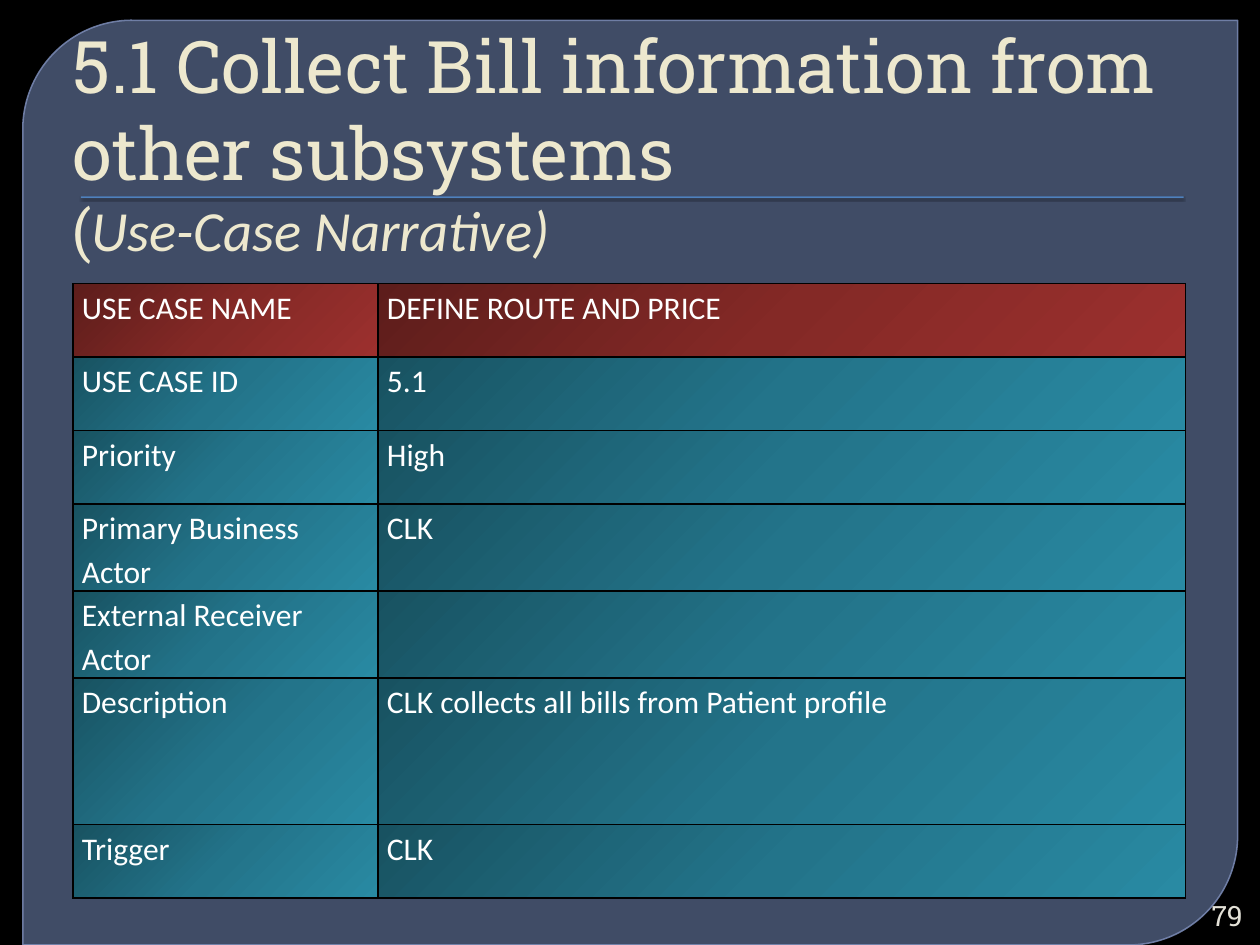
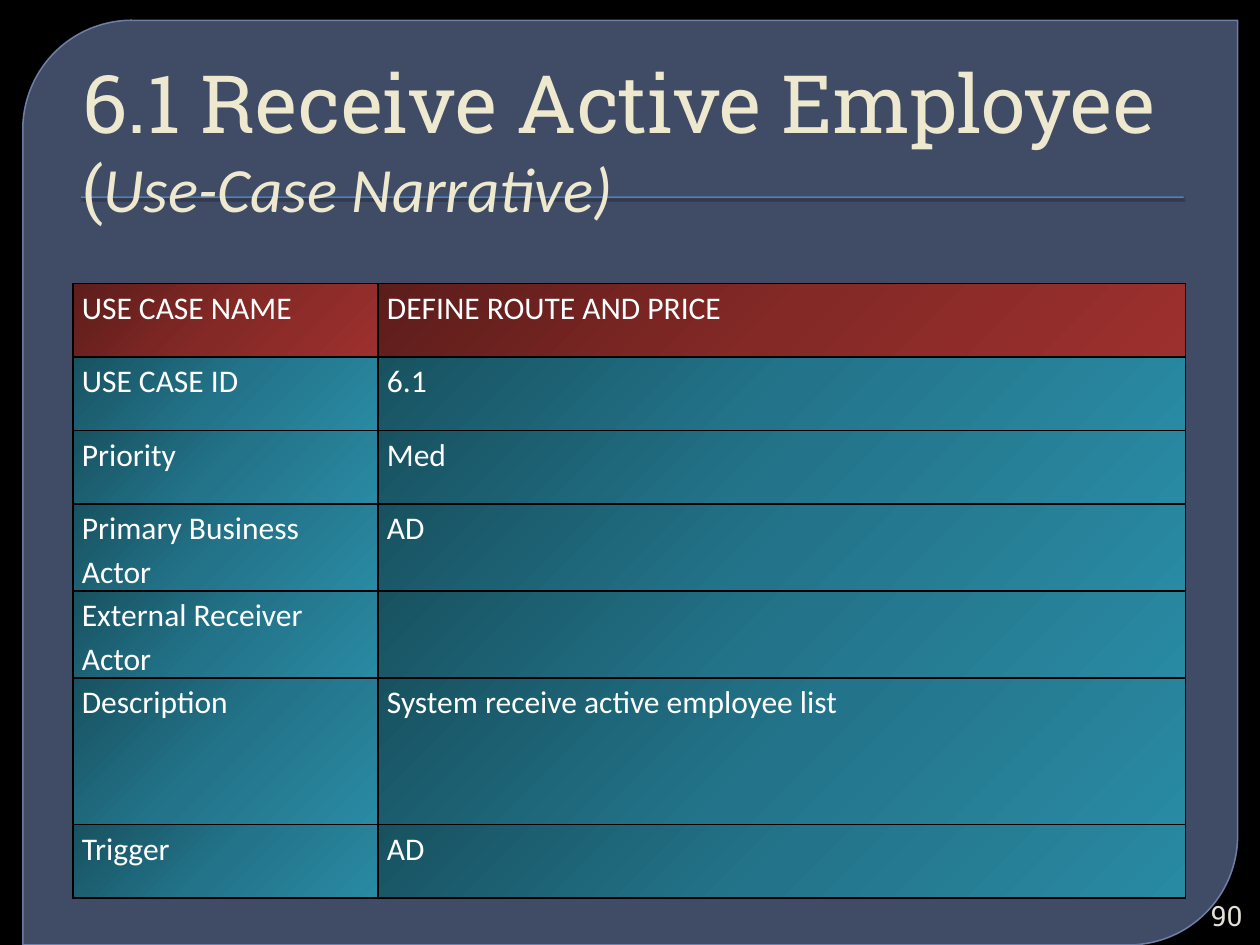
from lxml import etree
from pptx import Presentation
from pptx import util as u
from pptx.dml.color import RGBColor
from pptx.enum import shapes, text
from pptx.oxml import ns

COLORS = {
    "background": "000000", "panel": "63759D", "panel_line": "7989B3",
    "rule": "4F81BD", "title": "EDE8CE", "number": "E3E1D7",
    "cell_text": "FFFFFF", "border": "000000",
}
HEADER_GRADIENT = ["5D1D1B", "842926", "9C302E"]
BODY_GRADIENT = ["185261", "23748A", "298AA3"]
HEADING_FONT, BODY_FONT = "Roboto Slab", "Calibri"
COLUMN_WIDTHS = [6.15, 16.28]
ROW_HEIGHTS = [1.48] * 5 + [2.96, 1.48]
LABELS = ["USE CASE NAME", "USE CASE ID", "Priority", "Primary Business Actor",
          "External Receiver Actor", "Description", "Trigger"]

USE_CASES = [
    {"title": "5.1 Collect Bill information from other subsystems",
     "position": (1.07, 1.47), "sizes": (41.4, 32.4), "number": "79",
     "values": ["DEFINE ROUTE AND PRICE", "5.1", "High", "CLK", "",
                "CLK collects all bills from Patient profile", "CLK"]},
    {"title": "6.1 Receive Active Employee",
     "position": (1.27, 0.71), "sizes": (46, 36), "number": "90",
     "values": ["DEFINE ROUTE AND PRICE", "6.1", "Med", "AD", "",
                "System receive active employee list", "AD"]},
]


def add_run(paragraph, words, size, font, color, italic=None):
    run = paragraph.add_run()
    run.text = words
    run.font.size = u.Pt(size)
    run.font.name = font
    run.font.italic = italic
    run.font.color.rgb = RGBColor.from_string(COLORS[color])


def add_xml(parent, tag, **attributes):
    element = etree.SubElement(parent, ns.qn(tag))
    for name, value in attributes.items():
        element.set(name, str(value))
    return element


presentation = Presentation()
presentation.slide_width, presentation.slide_height = u.Cm(25.4), u.Cm(19.05)

for case in USE_CASES:
    slide = presentation.slides.add_slide(presentation.slide_layouts[6])
    slide.background.fill.solid()
    slide.background.fill.fore_color.rgb = RGBColor.from_string(COLORS["background"])

    # Translucent panel with two rounded corners
    panel = slide.shapes.add_shape(
        shapes.MSO_SHAPE.ROUND_2_DIAG_RECTANGLE,
        u.Cm(0.46), u.Cm(0.41), u.Cm(24.49), u.Cm(18.64))
    panel.adjustments[0], panel.adjustments[1] = 0.118, 0
    panel.shadow.inherit = False
    panel.line.width = u.Pt(0.87)
    panel.fill.solid()
    for fill, color, opacity in [(panel.fill, "panel", 65),
                                 (panel.line.fill, "panel_line", 88)]:
        fill.solid()
        fill.fore_color.rgb = RGBColor.from_string(COLORS[color])
    for color_element, opacity in zip(panel.element.spPr.iter(ns.qn("a:srgbClr")), (65, 88)):
        add_xml(color_element, "a:alpha", val=opacity * 1000)

    # Thin rule with a soft shadow
    rule = slide.shapes.add_shape(
        shapes.MSO_SHAPE.RECTANGLE, u.Cm(1.63), u.Cm(3.96), u.Cm(22.23), u.Cm(0.03))
    rule.fill.solid()
    rule.fill.fore_color.rgb = RGBColor.from_string(COLORS["rule"])
    rule.line.fill.background()
    rule.shadow.inherit = False
    shadow = add_xml(rule.element.spPr.find(ns.qn("a:effectLst")), "a:outerShdw",
                     blurRad=u.Pt(1), dist=u.Pt(1), dir=90 * 60000)
    shadow_color = add_xml(shadow, "a:srgbClr", val="000000")
    add_xml(shadow_color, "a:alpha", val=75000)

    # Title and subtitle
    left, top = case["position"]
    title_size, subtitle_size = case["sizes"]
    title = slide.shapes.add_textbox(u.Cm(left), u.Cm(top), u.Cm(22.86), u.Cm(3.96))
    title.text_frame.word_wrap = True
    title.text_frame.vertical_anchor = text.MSO_ANCHOR.BOTTOM
    paragraph = title.text_frame.paragraphs[0]
    paragraph._p.get_or_add_pPr().set("marL", str(u.Cm(0.15)))
    add_run(paragraph, case["title"], title_size, HEADING_FONT, "title")
    paragraph.add_line_break()
    add_run(paragraph, "(", subtitle_size, HEADING_FONT, "title")
    add_run(paragraph, "Use-Case Narrative)", subtitle_size, BODY_FONT, "title", True)

    # Use-case table
    table = slide.shapes.add_table(
        len(LABELS), 2, u.Cm(1.47), u.Cm(5.72),
        u.Cm(sum(COLUMN_WIDTHS)), u.Cm(sum(ROW_HEIGHTS))).table
    table.first_row = table.horz_banding = False
    for column, width in zip(table.columns, COLUMN_WIDTHS):
        column.width = u.Cm(width)
    for row_index, row_texts in enumerate(zip(LABELS, case["values"])):
        table.rows[row_index].height = u.Cm(ROW_HEIGHTS[row_index])
        for column_index, words in enumerate(row_texts):
            cell = table.cell(row_index, column_index)
            cell.margin_left = cell.margin_right = u.Cm(0.18)
            cell.margin_top = cell.margin_bottom = 0
            paragraph = cell.text_frame.paragraphs[0]
            paragraph.line_spacing = 1.15
            if words:
                add_run(paragraph, words, 18, BODY_FONT, "cell_text")
            # Borders come before the fill in the cell properties
            properties = cell._tc.get_or_add_tcPr()
            for side in "LRTB":
                border = add_xml(properties, f"a:ln{side}", w=u.Pt(1))
                add_xml(add_xml(border, "a:solidFill"), "a:srgbClr", val=COLORS["border"])
            gradient = add_xml(properties, "a:gradFill", rotWithShape=1)
            stops = add_xml(gradient, "a:gsLst")
            for step, color in enumerate(BODY_GRADIENT if row_index else HEADER_GRADIENT):
                add_xml(add_xml(stops, "a:gs", pos=step * 50000), "a:srgbClr", val=color)
            add_xml(gradient, "a:lin", ang=45 * 60000, scaled=0)

    # Slide number
    number = slide.shapes.add_textbox(u.Cm(24), u.Cm(18.08), u.Cm(1.3), u.Cm(0.76))
    number.text_frame.word_wrap = True
    number.text_frame.vertical_anchor = text.MSO_ANCHOR.MIDDLE
    paragraph = number.text_frame.paragraphs[0]
    paragraph.alignment = text.PP_ALIGN.RIGHT
    add_run(paragraph, case["number"], 16, HEADING_FONT, "number")

presentation.save("out.pptx")
